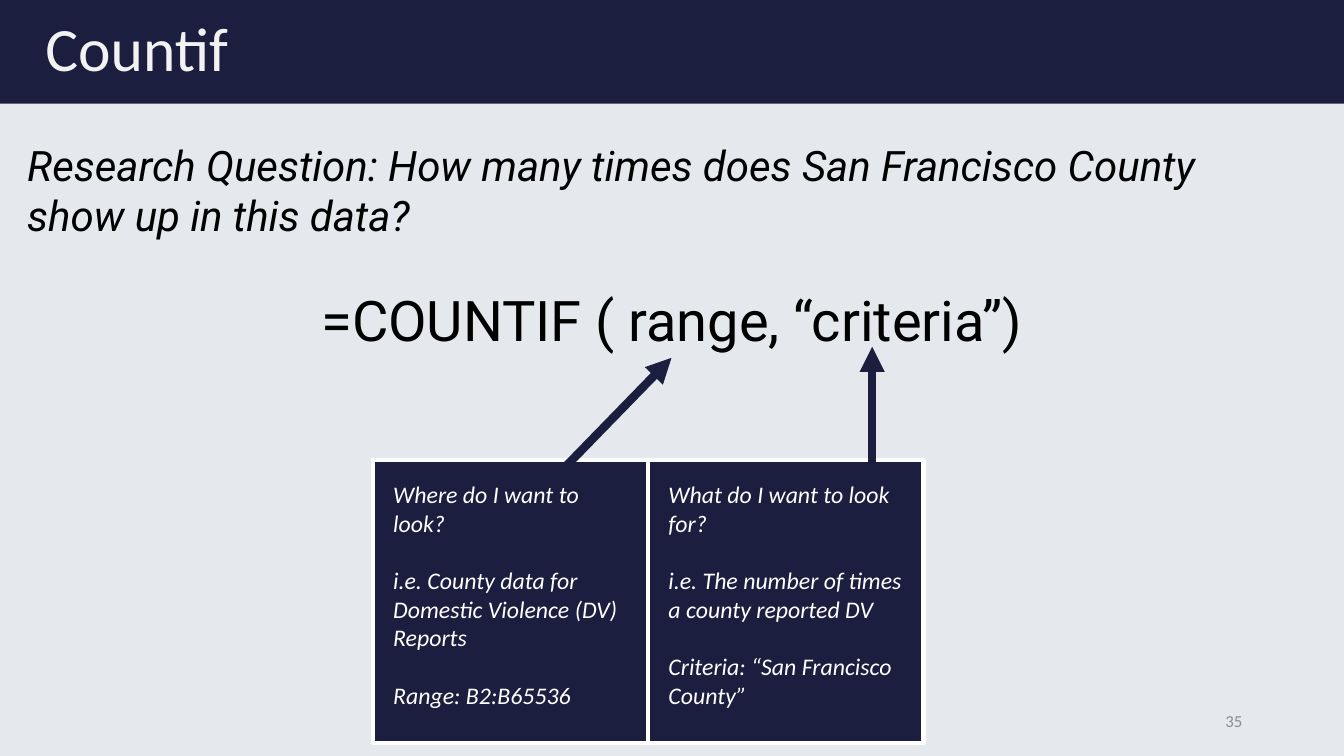
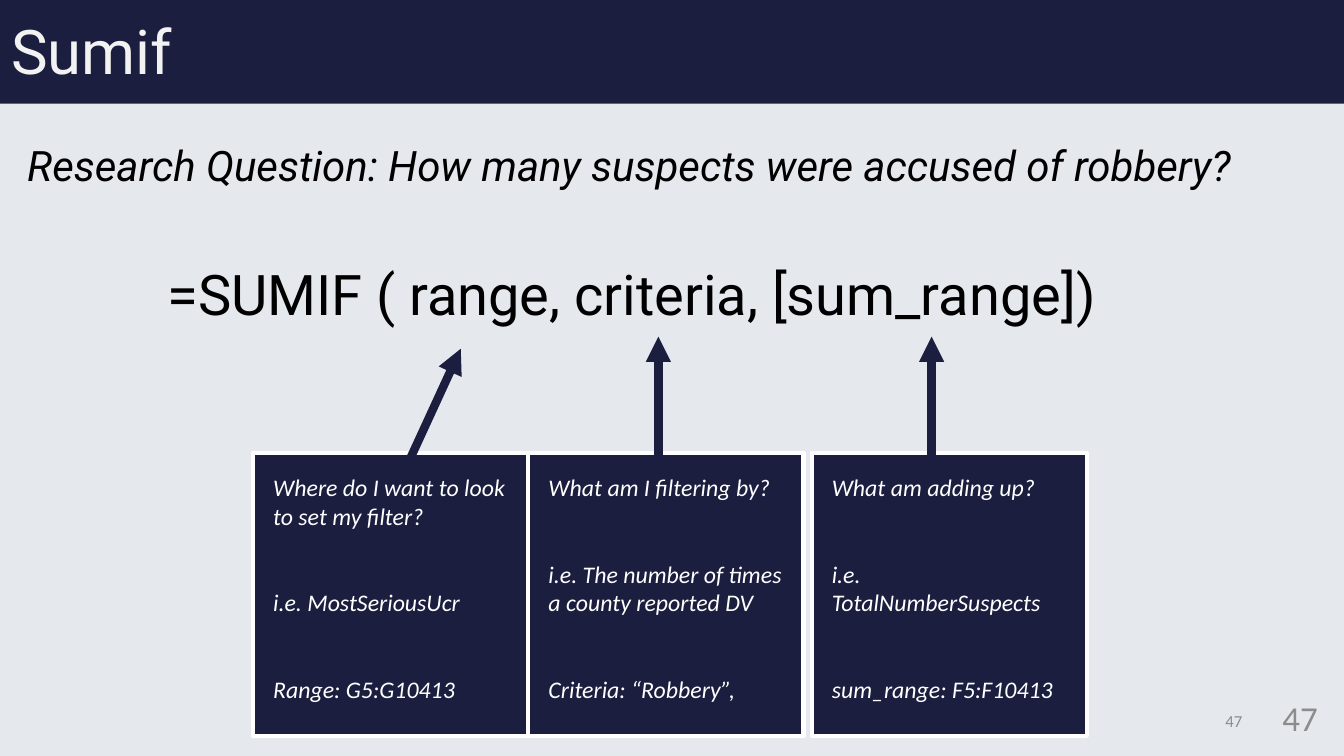
from lxml import etree
from pptx import Presentation
from pptx.dml.color import RGBColor
from pptx.enum.shapes import MSO_CONNECTOR, MSO_SHAPE
from pptx.enum.text import MSO_ANCHOR, MSO_AUTO_SIZE, PP_ALIGN
from pptx.oxml.ns import qn
from pptx.util import Inches, Pt

NAVY = RGBColor(0x1B, 0x1E, 0x3E)
MIST = RGBColor(0xE5, 0xE9, 0xEE)
PALE = RGBColor(0xF2, 0xF2, 0xF2)
WHITE = RGBColor(0xFF, 0xFF, 0xFF)
BLACK = RGBColor(0x00, 0x00, 0x00)
GRAY = RGBColor(0x8C, 0x8C, 0x8C)

RECTANGLE = MSO_SHAPE.RECTANGLE
STRAIGHT = MSO_CONNECTOR.STRAIGHT
TOP = MSO_ANCHOR.TOP
MIDDLE = MSO_ANCHOR.MIDDLE
NO_AUTO_SIZE = MSO_AUTO_SIZE.NONE
LEFT = PP_ALIGN.LEFT
CENTER = PP_ALIGN.CENTER
RIGHT = PP_ALIGN.RIGHT

CALIBRI = "Calibri"
ROBOTO = "Roboto"
SLIDE_WIDTH = 13.33
BAND_HEIGHT = 1.03
CARD_WIDTH = 2.73
CARD_HEIGHT = 2.81
CARD_INSET = 0.2
CARD_LINE_HEIGHT = 20.75


class FormulaDeck:
    def __init__(self):
        self.presentation = Presentation()
        self.presentation.slide_width = Inches(SLIDE_WIDTH)
        self.presentation.slide_height = Inches(7.5)
        self.slide = None

    def add_slide(self):
        layout = self.presentation.slide_layouts[1]
        self.slide = self.presentation.slides.add_slide(layout)
        fill = self.slide.background.fill
        fill.solid()
        fill.fore_color.rgb = MIST
        band = self.rectangle(0, 0, SLIDE_WIDTH, BAND_HEIGHT)
        band.line.fill.background()
        self.slide.shapes._spTree.insert(2, band._element)

    def rectangle(self, left, top, width, height):
        shape = self.slide.shapes.add_shape(
            RECTANGLE, Inches(left), Inches(top), Inches(width), Inches(height))
        shape.shadow.inherit = False
        shape.fill.solid()
        shape.fill.fore_color.rgb = NAVY
        return shape

    def place(self, shape, left, top, width, height):
        shape.left, shape.top = Inches(left), Inches(top)
        shape.width, shape.height = Inches(width), Inches(height)

    def set_text(self, shape, text, size, font, color, italic=False,
                 align=LEFT, anchor=TOP):
        frame = shape.text_frame
        frame.text = text
        frame.word_wrap = True
        frame.auto_size = NO_AUTO_SIZE
        frame.vertical_anchor = anchor
        for paragraph in frame.paragraphs:
            paragraph.alignment = align
            paragraph.space_before = Pt(0)
            for run in paragraph.runs:
                run.font.size = Pt(size)
                run.font.name = font
                run.font.italic = italic
                run.font.color.rgb = color
        return frame

    def title(self, text, left, top, font):
        shape = self.slide.shapes.title
        self.place(shape, left, top, 11.5, 1.45)
        frame = self.set_text(shape, text, 44, font, PALE, anchor=MIDDLE)
        frame.paragraphs[0].line_spacing = 0.9

    def question(self, text):
        shape = self.slide.placeholders[1]
        self.place(shape, 0.17, 1.33, 12.4, 1.11)
        frame = self.set_text(shape, text, 30, ROBOTO, BLACK, italic=True)
        properties = frame.paragraphs[0]._p.get_or_add_pPr()
        properties.set("marL", "0")
        properties.set("indent", "0")
        etree.SubElement(properties, qn("a:buNone"))

    def text_box(self, text, left, top, width, height, *style, **options):
        shape = self.slide.shapes.add_textbox(
            Inches(left), Inches(top), Inches(width), Inches(height))
        self.set_text(shape, text, *style, **options)

    def formula(self, text, left, top, width):
        self.text_box(text, left, top, width, 0.77, 40, ROBOTO, BLACK,
                      align=CENTER)

    def number(self, text, left, top, size):
        self.text_box(text, left, top, 3, 0.4, size, CALIBRI, GRAY,
                      align=RIGHT, anchor=MIDDLE)

    def card(self, left, top, lines, blank_lines):
        shape = self.rectangle(left, top, CARD_WIDTH, CARD_HEIGHT)
        shape.line.color.rgb = WHITE
        shape.line.width = Pt(3)
        frame = self.set_text(shape, "\n".join(lines), 17, CALIBRI, WHITE,
                              italic=True)
        frame.margin_left = frame.margin_right = Inches(CARD_INSET)
        frame.margin_top = Inches(CARD_INSET)
        for paragraph in frame.paragraphs[1:]:
            paragraph.space_before = Pt(CARD_LINE_HEIGHT * blank_lines)

    def arrow(self, start_x, start_y, end_x, end_y):
        connector = self.slide.shapes.add_connector(
            STRAIGHT, Inches(start_x), Inches(start_y),
            Inches(end_x), Inches(end_y))
        connector.line.color.rgb = NAVY
        connector.line.width = Pt(6)
        line = connector.line._get_or_add_ln()
        etree.SubElement(line, qn("a:tailEnd"), type="triangle")
        etree.SubElement(connector._element.spPr, qn("a:effectLst"))

    def explanations(self, top, cards, arrows, blank_lines):
        for left, lines in cards:
            self.card(left, top, lines, blank_lines)
        for start_x, end_x, end_y in arrows:
            self.arrow(start_x, top + 0.1, end_x, end_y)


def main():
    deck = FormulaDeck()

    deck.add_slide()
    deck.title("Countif", 0.35, -0.21, CALIBRI)
    deck.question("Research Question: How many times does San Francisco "
                  "County show up in this data?")
    deck.formula("=COUNTIF ( range, “criteria”)", 2.79, 2.78, 7.75)
    deck.explanations(
        4.56,
        [(3.7, ["Where do I want to look?",
                "i.e. County data for Domestic Violence (DV) Reports",
                "Range: B2:B65536"]),
         (6.43, ["What do I want to look for?",
                 "i.e. The number of times a county reported DV",
                 "Criteria: “San Francisco County”"])],
        [(5.58, 6.66, 3.55), (8.65, 8.65, 3.44)],
        blank_lines=1)
    deck.number("35", 9.42, 6.95, 12)

    deck.add_slide()
    deck.title("Sumif", 0.01, -0.18, ROBOTO)
    deck.question("Research Question: How many suspects were accused of "
                  "robbery?")
    deck.formula("=SUMIF ( range, criteria, [sum_range])", 1.4, 2.53, 9.73)
    deck.explanations(
        4.49,
        [(2.51, ["Where do I want to look to set my filter?",
                 "i.e. MostSeriousUcr",
                 "Range: G5:G10413"]),
         (5.24, ["What am I filtering by?",
                 "i.e. The number of times a county reported DV",
                 "Criteria: “Robbery”,"]),
         (8.05, ["What am adding up?",
                 "i.e. TotalNumberSuspects",
                 "sum_range: F5:F10413"])],
        [(4.05, 4.57, 3.46), (6.53, 6.53, 3.34), (9.24, 9.24, 3.34)],
        blank_lines=2)
    deck.number("47", 9.42, 6.95, 12)
    deck.number("47", 10.17, 6.92, 25)

    deck.presentation.save("out.pptx")


if __name__ == "__main__":
    main()
